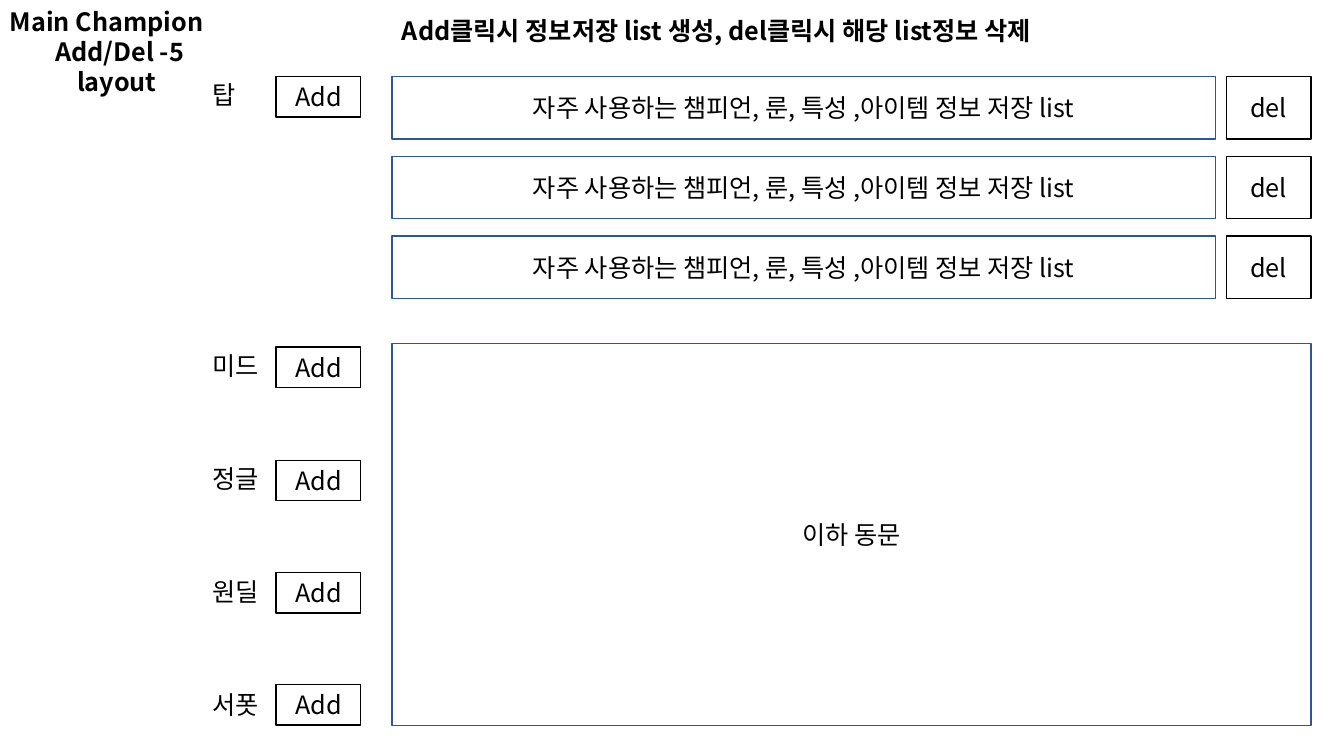
from lxml import etree
from pptx import Presentation
from pptx.dml.color import RGBColor
from pptx.enum.shapes import MSO_SHAPE
from pptx.enum.text import MSO_ANCHOR, MSO_AUTO_SIZE, PP_ALIGN as ALIGN
from pptx.oxml.ns import qn
from pptx.util import Cm, Pt

# Content
TITLE = ["Main Champion", " Add/Del -5", "layout"]
TITLE_ALIGN = [ALIGN.LEFT, ALIGN.CENTER, ALIGN.CENTER]
RULE = "Add클릭시 정보저장 list 생성, del클릭시 해당 list정보 삭제"
SAVED_LIST = "자주 사용하는 챔피언, 룬, 특성 ,아이템 정보 저장 list"
SAVED_COUNT = 3
REST = "이하 동문"
# Position name, label top, label width, button top
POSITIONS = [
    ("탑", 1.88, 1.55, 1.93),
    ("미드", 8.71, 1.85, 8.74),
    ("정글", 11.56, 1.85, 11.6),
    ("원딜", 14.4, 1.85, 14.43),
    ("서폿", 17.25, 1.85, 17.25),
]

# Style and layout, lengths in cm
FONT = "Noto Sans CJK KR"
BLACK, WHITE, BLUE = "000000", "FFFFFF", "325491"
LABEL_X, ADD_X, LIST_X, DEL_X = 5.11, 6.96, 9.88, 30.91
BUTTON_W, LINE_H = 2.13, 1.02
LIST_TOP, LIST_W, LIST_H, LIST_STEP = 1.93, 20.75, 1.57, 2.01
REST_TOP, REST_H = 8.66, 9.63


def color(value):
    return RGBColor.from_string(value)


def write(shape, lines, aligns=(ALIGN.LEFT,), bold=False, anchor=MSO_ANCHOR.TOP):
    frame = shape.text_frame
    frame.word_wrap = True
    frame.vertical_anchor = anchor
    for i, (line, align) in enumerate(zip(lines, aligns)):
        paragraph = frame.paragraphs[0] if i == 0 else frame.add_paragraph()
        paragraph.alignment = align
        paragraph.line_spacing = Pt(21.6)
        run = paragraph.add_run()
        run.text = line
        run.font.size = Pt(18)
        run.font.bold = bold
        run.font.name = FONT
        run.font.color.rgb = color(BLACK)
        east_asian = etree.SubElement(run.font._element, qn("a:ea"))
        east_asian.set("typeface", FONT)


def label(slide, lines, x, y, w, h=LINE_H, **style):
    box = slide.shapes.add_textbox(Cm(x), Cm(y), Cm(w), Cm(h))
    write(box, lines, **style)
    box.text_frame.auto_size = MSO_AUTO_SIZE.SHAPE_TO_FIT_TEXT


def panel(slide, text, x, y, w, h, outline=BLACK):
    box = slide.shapes.add_shape(MSO_SHAPE.RECTANGLE, Cm(x), Cm(y), Cm(w), Cm(h))
    box.shadow.inherit = False
    box.fill.solid()
    box.fill.fore_color.rgb = color(WHITE)
    box.line.color.rgb = color(outline)
    box.line.width = Pt(1)
    write(box, [text], aligns=[ALIGN.CENTER], anchor=MSO_ANCHOR.MIDDLE)


def main():
    deck = Presentation()
    deck.slide_width, deck.slide_height = Cm(33.87), Cm(19.05)
    slide = deck.slides.add_slide(deck.slide_layouts[6])

    # Headings
    label(slide, TITLE, 0, 0.03, 5.89, 2.57, aligns=TITLE_ALIGN, bold=True)
    label(slide, [RULE], LIST_X, 0.25, 19.23, bold=True)

    # Positions with their add buttons
    for position, label_top, label_w, add_top in POSITIONS:
        label(slide, [position], LABEL_X, label_top, label_w)
        panel(slide, "Add", ADD_X, add_top, BUTTON_W, LINE_H)

    # Saved lists with their delete buttons
    for row in range(SAVED_COUNT):
        top = LIST_TOP + row * LIST_STEP
        panel(slide, SAVED_LIST, LIST_X, top, LIST_W, LIST_H, outline=BLUE)
        panel(slide, "del", DEL_X, top, BUTTON_W, LIST_H)

    # Shared area for the other positions
    rest_w = DEL_X + BUTTON_W - LIST_X
    panel(slide, REST, LIST_X, REST_TOP, rest_w, REST_H, outline=BLUE)

    deck.save("out.pptx")


if __name__ == "__main__":
    main()
